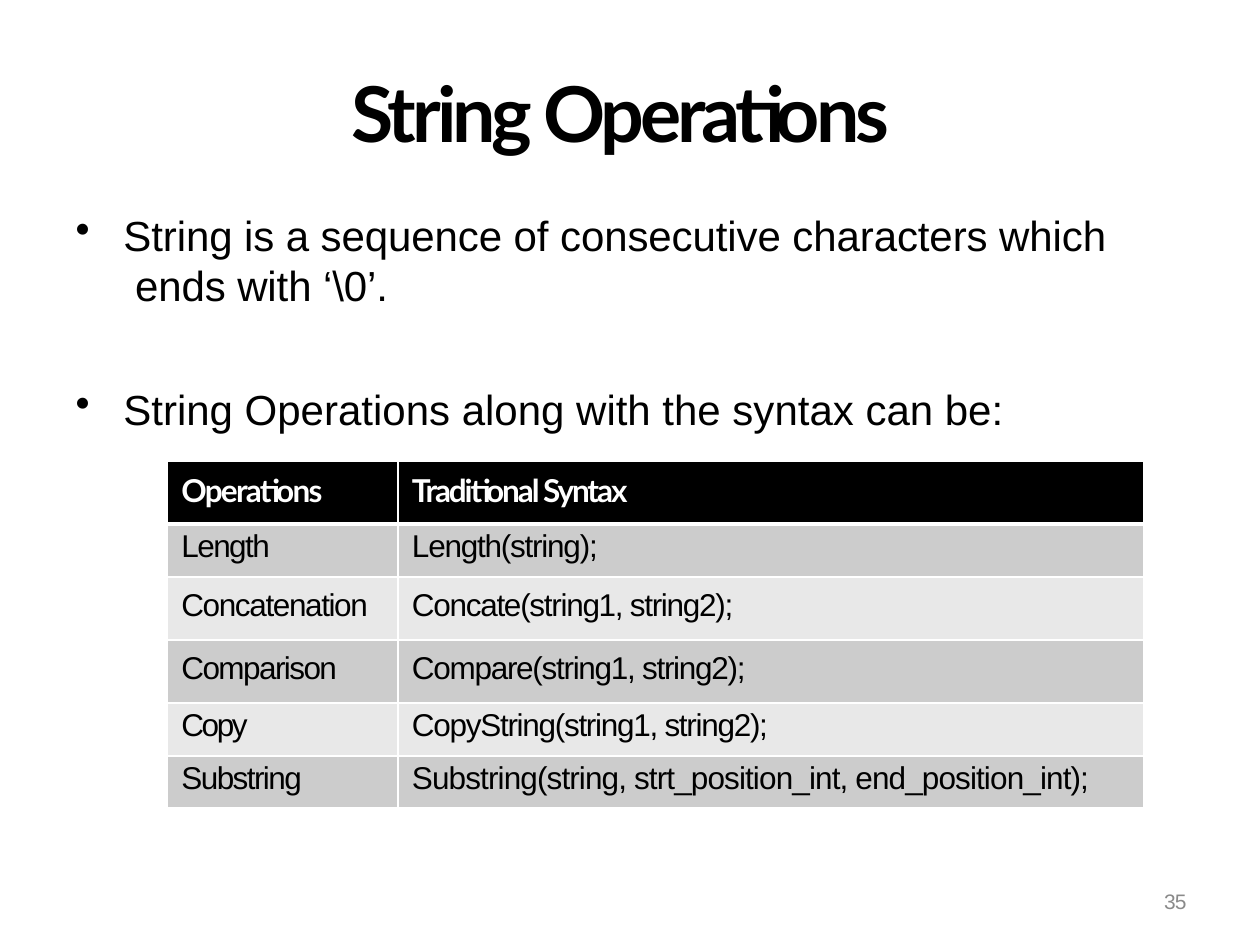
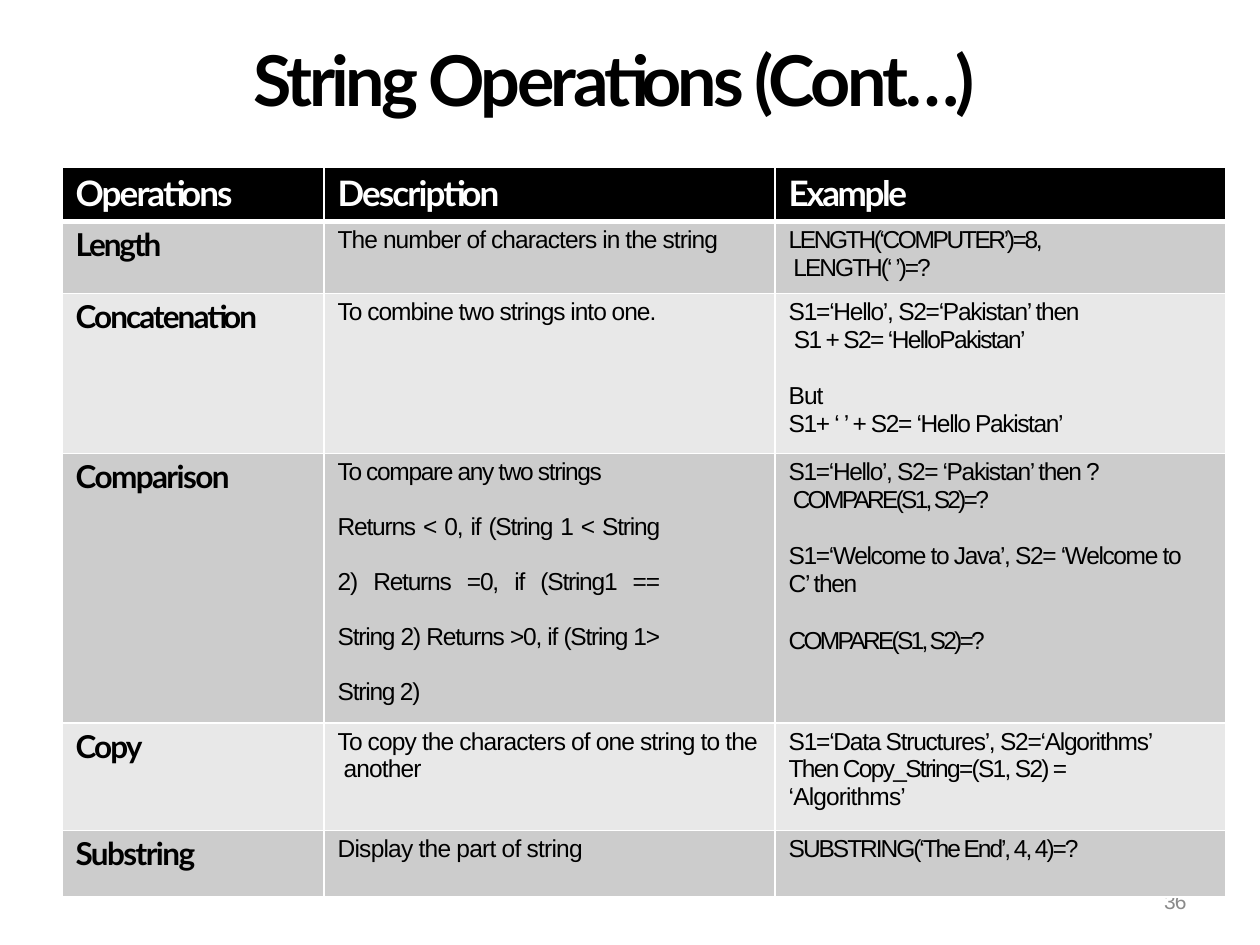
from lxml.etree import SubElement
from pptx import Presentation
from pptx.dml.color import RGBColor
from pptx.enum.text import PP_ALIGN as Align
from pptx.oxml.ns import qn
from pptx.util import Emu, Inches, Pt

HEADING, BODY = "Lato", "Arial"
BLACK, WHITE, GREY = "000000", "FFFFFF", "8A8A8A"
BANDS = ["CCCCCC", "E8E8E8"]

presentation = Presentation()
presentation.slide_width, presentation.slide_height = Inches(10), Inches(7.5)
GRID = presentation.slide_width / 100  # 100 columns by 75 rows of squares


def grid(*counts):
    return [Emu(round(count * GRID)) for count in counts]


def write(frame, lines, font, size, color, bold=False, top=0):
    """Each line is (text, letter spacing, space before) in points."""
    frame.word_wrap = True
    for index, (text, spacing, gap) in enumerate(lines):
        paragraph = frame.paragraphs[0] if index == 0 else frame.add_paragraph()
        paragraph.text = text
        paragraph.space_before = Pt(gap if index else top)
        paragraph.font.name, paragraph.font.size = font, Pt(size)
        paragraph.font.bold = bold
        paragraph.font.color.rgb = RGBColor.from_string(color)
        for run in paragraph.runs:
            run.font._element.set("spc", str(round(spacing * 100)))


# Table contents: one line per cell, or a list of lines
syntax_rows = [
    [("Operations", -1, 0), ("Traditional Syntax", -1.2, 0)],
    [("Length", -0.9, 0), ("Length(string);", -0.7, 0)],
    [("Concatenation", -0.8, 0), ("Concate(string1, string2);", -0.73, 0)],
    [("Comparison", -0.9, 0), ("Compare(string1, string2);", -0.73, 0)],
    [("Copy", -1.4, 0), ("CopyString(string1, string2);", -0.73, 0)],
    [("Substring", -0.9, 0),
     ("Substring(string, strt_position_int, end_position_int);", -0.5, 0)],
]
example_rows = [
    [("Operations", -1.1, 0), ("Description", -1.1, 0), ("Example", -1.4, 0)],
    [("Length", -1.2, 0),
     ("The number of characters in the string", -0.55, 0),
     [("LENGTH(‘COMPUTER’)=8,", -1.4, 0), (" LENGTH(‘ ’)=?", -1.15, 0)]],
    [("Concatenation", -1.1, 0),
     ("To combine two strings into one.", -0.6, 0),
     [("S1=‘Hello’, S2=‘Pakistan’ then", -0.75, 0),
      (" S1 + S2= ‘HelloPakistan’", -0.95, 0),
      ("But", -0.6, 16.7),
      ("S1+ ‘ ’ + S2= ‘Hello Pakistan’", -0.8, 0)]],
    [("Comparison", -0.9, 0),
     [("To compare any two strings", -0.8, 0),
      ("Returns < 0, if (String 1 < String 2) Returns =0, if (String1 == "
       "String 2) Returns >0, if (String 1> String 2)", -0.7, 0)],
     [("S1=‘Hello’, S2= ‘Pakistan’ then ?", -0.8, 0),
      (" COMPARE(S1, S2)=?", -1.6, 0),
      ("S1=‘Welcome to Java’, S2= ‘Welcome to\vC’ then", -0.8, 16.7),
      ("COMPARE(S1, S2)=?", -1.6, 16.7)]],
    [("Copy", -1.1, 0),
     ("To copy the characters of one string to the\v another", -0.5, 0),
     [("S1=‘Data Structures’, S2=‘Algorithms’", -0.75, 0),
      ("Then Copy_String=(S1, S2) =", -1, 0),
      ("‘Algorithms’", -0.5, 0)]],
    [("Substring", -0.9, 0),
     ("Display the part of string", -0.45, 0),
     ("SUBSTRING(‘The End’, 4, 4)=?", -1.2, 0)],
]

# Places are in grid squares, sizes and paddings in points
pages = [
    dict(number="35", title="String Operations", title_at=(27.8, 5.1, 44.5, 7.6),
         title_size=44, title_spacing=-2.35,
         bullets=[("String is a sequence of consecutive characters which\v ends with ‘\\0’.", -0.07, 0),
                  ("String Operations along with the syntax can be:", 0, 42)],
         table_at=(13.3, 36.6), columns=(18.3, 59.2), heights=(5, 4.2, 5, 5, 4.2, 4.1),
         rows=syntax_rows, header_size=18, key_style=(BODY, 18, BLACK, False), cell_size=18,
         key_padding=(6, 3, 6, 6, 3, 2.7), padding=(6, 3, 6, 6, 3, 2.7)),
    dict(number="36", title="String Operations (Cont…)", title_at=(20, 2.8, 60.1, 7),
         title_size=40, title_spacing=-2, bullets=[],
         table_at=(4.9, 13.3), columns=(20.8, 35.8, 35.8), heights=(4.3, 5.7, 12.7, 17.3, 8.5, 5.3),
         rows=example_rows, header_size=20, key_style=(HEADING, 18, BLACK, True), cell_size=14,
         key_padding=[2.3] * 6, padding=[2.3] + [2.8] * 5),
]

for page in pages:
    slide = presentation.slides.add_slide(presentation.slide_layouts[6])

    # Page number, title and bullets
    texts = [
        ((92.1, 69.9, 2.2, 3), 0.6, 0.3, [(page["number"], -0.6, 0)], BODY, 12, GREY, False, 4),
        (page["title_at"], 0.1, 0.1, [(page["title"], page["title_spacing"], 0)],
         HEADING, page["title_size"], BLACK, True, 1),
    ]
    if page["bullets"]:
        texts.append(((5.9, 16.5, 82.4, 17.9), 0.1, 0, page["bullets"], BODY, 24, BLACK, False, 1))
    for place, top, left, lines, *style in texts:
        frame = slide.shapes.add_textbox(*grid(*place)).text_frame
        frame.margin_left, frame.margin_top, frame.margin_right, frame.margin_bottom = grid(left, top, 0, 0)
        write(frame, lines, *style)
    if page["bullets"]:
        for paragraph in frame.paragraphs:
            properties = paragraph._p.get_or_add_pPr()
            properties.set("marL", str(Inches(0.39)))
            properties.set("indent", str(-Inches(0.38)))
            SubElement(properties, qn("a:buChar"), char="•")

    # Table grid
    columns, heights, rows = page["columns"], page["heights"], page["rows"]
    place = grid(*page["table_at"], sum(columns), sum(heights))
    table = slide.shapes.add_table(len(rows), len(columns), *place).table
    for column, width in zip(table.columns, grid(*columns)):
        column.width = width
    for row, height in zip(table.rows, grid(*heights)):
        row.height = height

    # Table cells
    for r, row in enumerate(rows):
        for c, lines in enumerate(row):
            cell = table.cell(r, c)
            padding = page["padding" if c else "key_padding"][r]
            cell.margin_left, cell.margin_right, cell.margin_bottom = grid(1.1, 0, 0)
            cell.margin_top = Pt(padding)
            for side in "LRTB":
                thick = (r, side) in [(0, "B"), (1, "T")]
                line = SubElement(cell._tc.get_or_add_tcPr(), qn("a:ln" + side),
                                  w=str(Pt(3 if thick else 1)))
                SubElement(SubElement(line, qn("a:solidFill")), qn("a:srgbClr"), val=WHITE)
            cell.fill.solid()
            cell.fill.fore_color.rgb = RGBColor.from_string(BANDS[(r - 1) % 2] if r else BLACK)
            if r == 0:
                style = HEADING, page["header_size"], WHITE, True
            elif c == 0:
                style = page["key_style"]
            else:
                style = BODY, page["cell_size"], BLACK, False
            write(cell.text_frame, lines if isinstance(lines, list) else [lines], *style, padding)

# The comparison rules are justified in a narrower, double-spaced block
cell = table.cell(3, 1)
cell.margin_right = grid(9.2)[0]
rules = cell.text_frame.paragraphs[1]
rules.alignment, rules.line_spacing = Align.JUSTIFY, 2.0

presentation.save("out.pptx")
